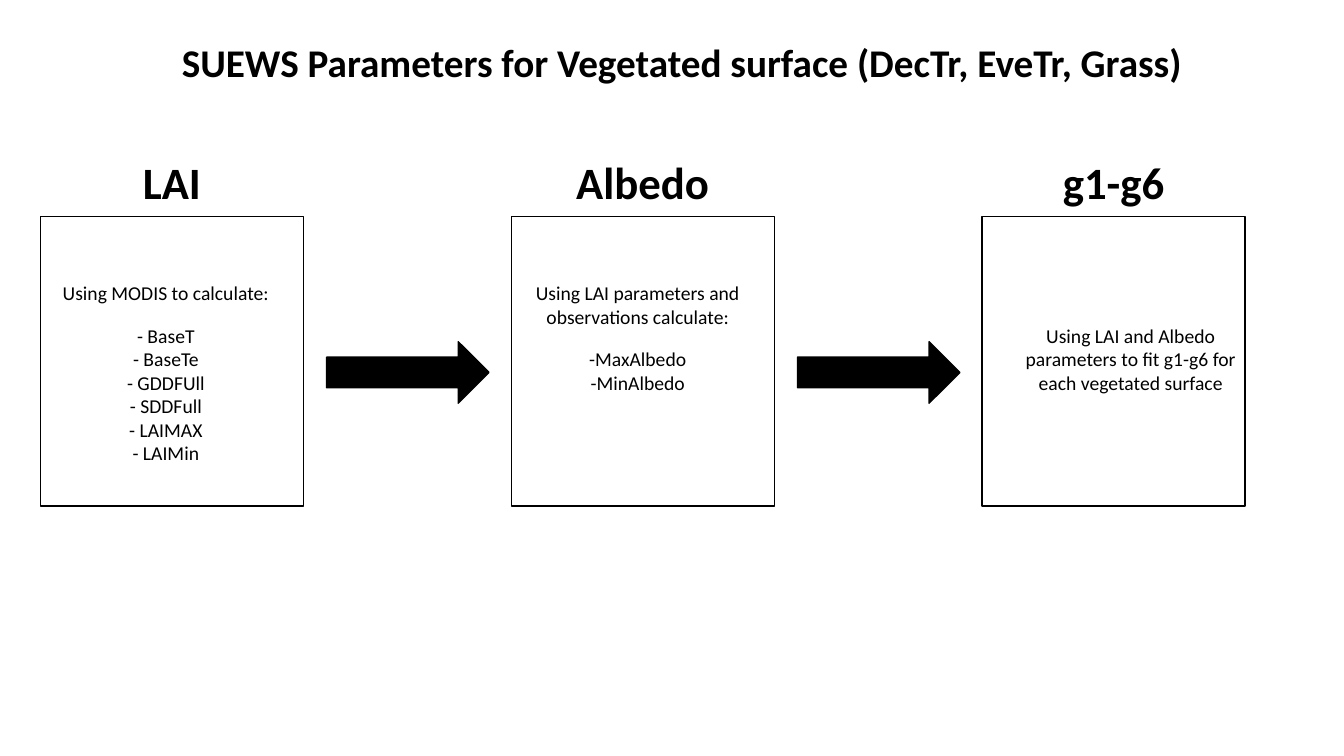
from pptx import Presentation
from pptx.dml.color import RGBColor
from pptx.enum.shapes import MSO_SHAPE
from pptx.enum.text import PP_ALIGN
from pptx.util import Inches, Pt

RECT = MSO_SHAPE.RECTANGLE
ARROW = MSO_SHAPE.RIGHT_ARROW
CENTER = PP_ALIGN.CENTER
COLORS = {"ink": "000000"}


class Deck:
    """Hold the style and the current slide, and draw its elements."""

    font = "Calibri"
    ink = RGBColor.from_string(COLORS["ink"])

    def __init__(self, slide):
        self.slide = slide

    def shape(self, kind, x, y, w, h, solid=False):
        item = self.slide.shapes.add_shape(kind, *map(Inches, (x, y, w, h)))
        item.shadow.inherit = False
        if solid:
            item.fill.solid()
            item.fill.fore_color.rgb = self.ink
        else:
            item.fill.background()
        item.line.color.rgb = self.ink
        item.line.width = Pt(1)

    def text(self, lines, x, y, w, h, size, bold=False, wrap=True):
        box = self.slide.shapes.add_textbox(*map(Inches, (x, y, w, h)))
        frame = box.text_frame
        frame.word_wrap = wrap
        frame.text = "\n".join(lines)
        for para in frame.paragraphs:
            para.alignment = CENTER
            for run in para.runs:
                run.font.name = self.font
                run.font.size = Pt(size)
                run.font.bold = bold
                run.font.color.rgb = self.ink
        if len(lines) > 1:
            frame.paragraphs[0].space_after = Pt(13.4)


prs = Presentation()
prs.slide_width, prs.slide_height = Inches(13.33), Inches(7.5)
deck = Deck(prs.slides.add_slide(prs.slide_layouts[6]))

LEFT, STEP, WIDTH = 0.4, 4.67, 2.61
STAGES = [
    ("LAI", 0.78, -0.06, 2.74, 2.17,
     ["Using MODIS to calculate:", "- BaseT", "- BaseTe", "- GDDFUll",
      "- SDDFull", "- LAIMAX", "- LAIMin"]),
    ("Albedo", 1.53, -0.05, 2.74, 1.7,
     ["Using LAI parameters and observations calculate:",
      "-MaxAlbedo", "-MinAlbedo"]),
    ("g1-g6", 1.22, 0.17, 3.16, 1.04,
     ["Using LAI and Albedo parameters to fit g1-g6 for each vegetated surface"]),
]

for i, (head, span, shift, top, tall, lines) in enumerate(STAGES):
    x = LEFT + i * STEP
    deck.shape(RECT, x, 2.15, WIDTH, 2.87)
    if i < len(STAGES) - 1:
        deck.shape(ARROW, x + 2.84, 3.39, 1.61, 0.61, solid=True)
    deck.text([head], x + (WIDTH - span) / 2, 1.49, span, 0.64, 32,
              bold=True, wrap=False)
    deck.text(lines, x + shift, top, WIDTH, tall, 14)

deck.text(["SUEWS Parameters for Vegetated surface (DecTr, EveTr, Grass)"],
          1.64, 0.33, 10.24, 0.57, 28, bold=True, wrap=False)

prs.save("out.pptx")
